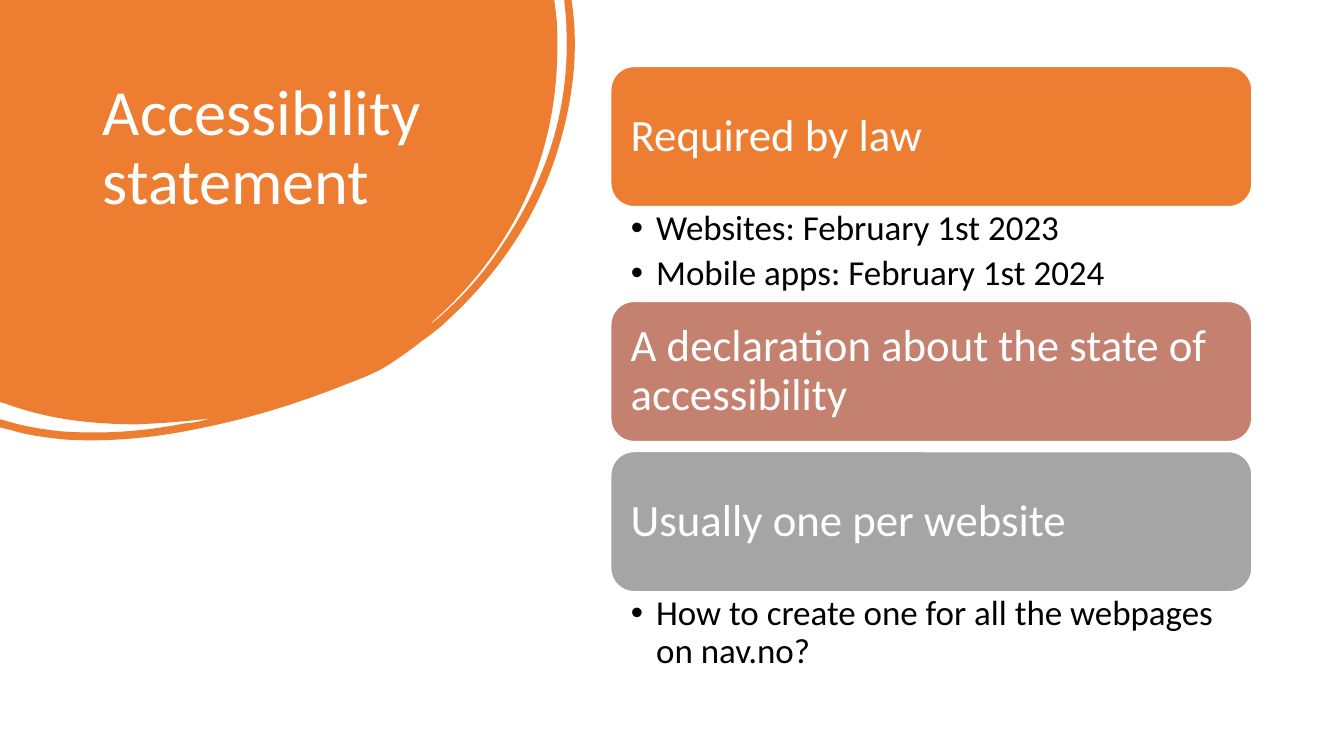
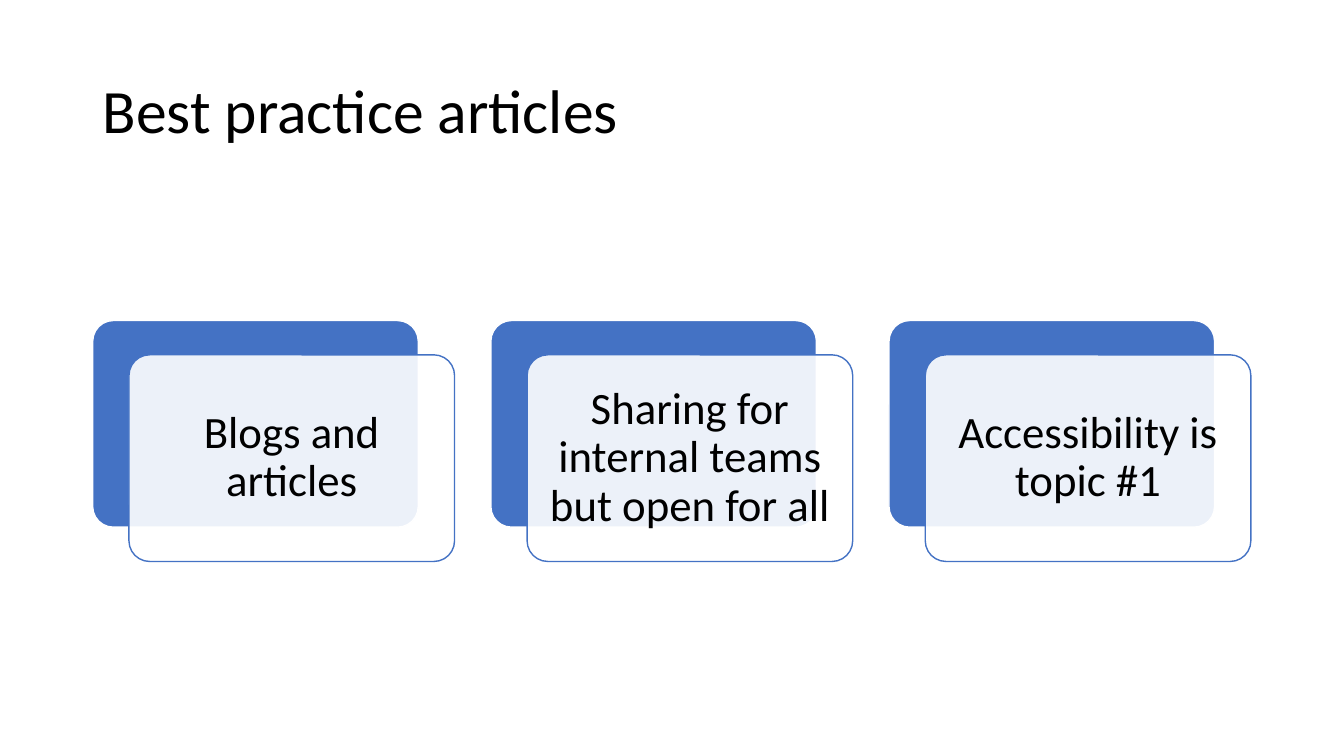
import pptx
import pptx.dml.color
import pptx.enum.shapes
import pptx.enum.text
import pptx.oxml.ns
import pptx.util
from lxml import etree

PX = 9144  # EMU per px, 100 px to the inch
FONT = "Calibri"
WHITE = pptx.dml.color.RGBColor(0xFF, 0xFF, 0xFF)
BLACK = pptx.dml.color.RGBColor(0x00, 0x00, 0x00)
ORANGE = pptx.dml.color.RGBColor(0xED, 0x7D, 0x31)
ROSE = pptx.dml.color.RGBColor(0xC4, 0x81, 0x70)
GREY = pptx.dml.color.RGBColor(0xA5, 0xA5, 0xA5)
BLUE = pptx.dml.color.RGBColor(0x44, 0x72, 0xC4)
LEFT, CENTER = pptx.enum.text.PP_ALIGN.LEFT, pptx.enum.text.PP_ALIGN.CENTER
TOP, MIDDLE = pptx.enum.text.MSO_ANCHOR.TOP, pptx.enum.text.MSO_ANCHOR.MIDDLE


def write_text(shape, lines, *, size, colour, box=None, align=LEFT,
               anchor=MIDDLE, insets=(13, 13, 13, 13), bullet=None):
    """Fill a shape or placeholder, one paragraph per line; box moves it."""
    if box:
        shape.left, shape.top, shape.width, shape.height = (v * PX for v in box)
    frame = shape.text_frame
    frame.word_wrap = True
    frame.auto_size = pptx.enum.text.MSO_AUTO_SIZE.NONE
    frame.vertical_anchor = anchor
    (frame.margin_left, frame.margin_top,
     frame.margin_right, frame.margin_bottom) = (v * PX for v in insets)
    for index, line in enumerate(lines):
        paragraph = frame.add_paragraph() if index else frame.paragraphs[0]
        paragraph.alignment = align
        paragraph.line_spacing = 0.9
        paragraph.space_before = pptx.util.Pt(0)
        if bullet:
            paragraph.space_after = pptx.util.Pt(size * 0.2)
            properties = paragraph._p.get_or_add_pPr()
            properties.set("marL", str(25 * PX))
            properties.set("indent", str(-25 * PX))
            mark = etree.SubElement(properties, pptx.oxml.ns.qn("a:buChar"))
            mark.set("char", bullet)
        run = paragraph.add_run()
        run.text = line
        run.font.name = FONT
        run.font.size = pptx.util.Pt(size)
        run.font.color.rgb = colour


def add_panel(slide, box, fill, line, corner=0.1667):
    """Add a rounded rectangle."""
    panel = slide.shapes.add_shape(
        pptx.enum.shapes.MSO_SHAPE.ROUNDED_RECTANGLE, *(v * PX for v in box))
    panel.adjustments[0] = corner
    panel.shadow.inherit = False
    panel.fill.solid()
    panel.fill.fore_color.rgb = fill
    panel.line.color.rgb = line
    panel.line.width = pptx.util.Pt(1)
    return panel


deck = pptx.Presentation()
deck.slide_width = pptx.util.Emu(12192000)
deck.slide_height = 750 * PX
TITLE_INSETS = (10, 5, 10, 5)

# Slide 1: accessibility statement
statement = deck.slides.add_slide(deck.slide_layouts.get_by_name("Two Content"))
write_text(statement.shapes.title, ["Accessibility statement"], size=46,
           colour=WHITE, box=(92, 74, 352, 222), anchor=TOP, insets=TITLE_INSETS)

# Corner blob: pairs are straight lines, sextets are cubic curves
blob_outline = [
    (550, 0), (552, 17),
    (553, 26, 553, 36, 553, 45), (553, 101, 542, 154, 518, 204),
    (496, 249, 465, 288, 427, 321), (429, 321, 430, 319, 432, 318),
    (459, 295, 482, 269, 501, 239), (543, 176, 565, 107, 562, 30),
    (562, 21, 561, 12, 560, 3),
    (560, 0), (567, 0), (568, 7),
    (574, 54, 568, 102, 553, 150), (533, 214, 497, 268, 448, 314),
    (439, 323, 429, 331, 419, 338), (409, 346, 399, 353, 387, 361),
    (375, 369, 360, 375, 344, 381), (299, 399, 252, 414, 203, 424),
    (157, 434, 110, 439, 63, 436), (45, 434, 28, 432, 12, 427),
    (0, 424), (0, 416), (4, 417),
    (23, 423, 42, 426, 61, 428), (103, 431, 143, 428, 184, 420),
    (189, 420, 193, 419, 198, 418), (202, 417, 206, 416, 210, 415),
    (186, 418, 161, 420, 136, 421), (92, 421, 48, 416, 7, 401),
    (0, 399),
]
builder = statement.shapes.build_freeform(0, 0, scale=PX)
builder.add_line_segments([segment[-2:] for segment in blob_outline], close=True)
blob = builder.convert_to_shape()
blob.shadow.inherit = False
blob.fill.solid()
blob.fill.fore_color.rgb = ORANGE
blob.line.fill.background()

# Bend the sextet segments: two control points go before each end point
edges = list(blob.element.iter(pptx.oxml.ns.qn("a:lnTo")))
for edge, segment in zip(edges, blob_outline):
    if len(segment) == 6:
        curve = etree.Element(pptx.oxml.ns.qn("a:cubicBezTo"))
        for x, y in zip(segment[::2], segment[1::2]):
            etree.SubElement(curve, pptx.oxml.ns.qn("a:pt"), x=str(x * PX), y=str(y * PX))
        edge.getparent().replace(edge, curve)
outline = next(blob.element.iter(pptx.oxml.ns.qn("a:path")))
for point in outline.iter(pptx.oxml.ns.qn("a:cubicBezTo")):
    for control in point:
        control.set("x", str(int(control.get("x")) * int(outline.get("w")) // blob.width))
        control.set("y", str(int(control.get("y")) * int(outline.get("h")) // blob.height))
statement.shapes.title.element.addprevious(blob.element)

# Heading bars, each with its list or a gap below
BAR_X, BAR_WIDTH, BAR_HEIGHT = 606, 636, 139
sections = [
    ("Required by law", ORANGE, 94,
     ["Websites: February 1st 2023", "Mobile apps: February 1st 2024"]),
    ("A declaration about the state of accessibility", ROSE, 10, []),
    ("Usually one per website", GREY, 87,
     ["How to create one for all the webpages on nav.no?"]),
]
lists = iter([p for p in statement.placeholders if p.placeholder_format.idx])
y = 66
for heading, colour, space_below, items in sections:
    bar = add_panel(statement, (BAR_X, y, BAR_WIDTH, BAR_HEIGHT), colour, WHITE)
    write_text(bar, [heading], size=32, colour=WHITE)
    y += BAR_HEIGHT
    if items:
        write_text(next(lists), items, size=25, colour=BLACK,
                   box=(BAR_X, y, BAR_WIDTH, space_below), anchor=TOP,
                   insets=(20, 4, 25, 4), bullet="•")
    y += space_below

# Slide 2: best practice articles
articles = deck.slides.add_slide(deck.slide_layouts.get_by_name("Title Only"))
write_text(articles.shapes.title, ["Best practice articles"], size=44,
           colour=BLACK, box=(92, 40, 1150, 145), insets=TITLE_INSETS)

# Cards: translucent white front over a blue back
CARD_WIDTH, CARD_HEIGHT, CARD_PITCH = 323, 205, 395
topics = ["Blogs and articles", "Sharing for internal teams but open for all",
          "Accessibility is topic #1"]
for column, topic in enumerate(topics):
    x = 92 + column * CARD_PITCH
    add_panel(articles, (x, 318, CARD_WIDTH, CARD_HEIGHT), BLUE, WHITE, corner=0.1)
    front = add_panel(articles, (x + 36, 352, CARD_WIDTH, CARD_HEIGHT),
                      WHITE, BLUE, corner=0.1)
    fill_colour = front.element.spPr.find(
        pptx.oxml.ns.qn("a:solidFill") + "/" + pptx.oxml.ns.qn("a:srgbClr"))
    etree.SubElement(fill_colour, pptx.oxml.ns.qn("a:alpha")).set("val", "90000")
    write_text(front, [topic], size=32, colour=BLACK, align=CENTER)

deck.save("out.pptx")
